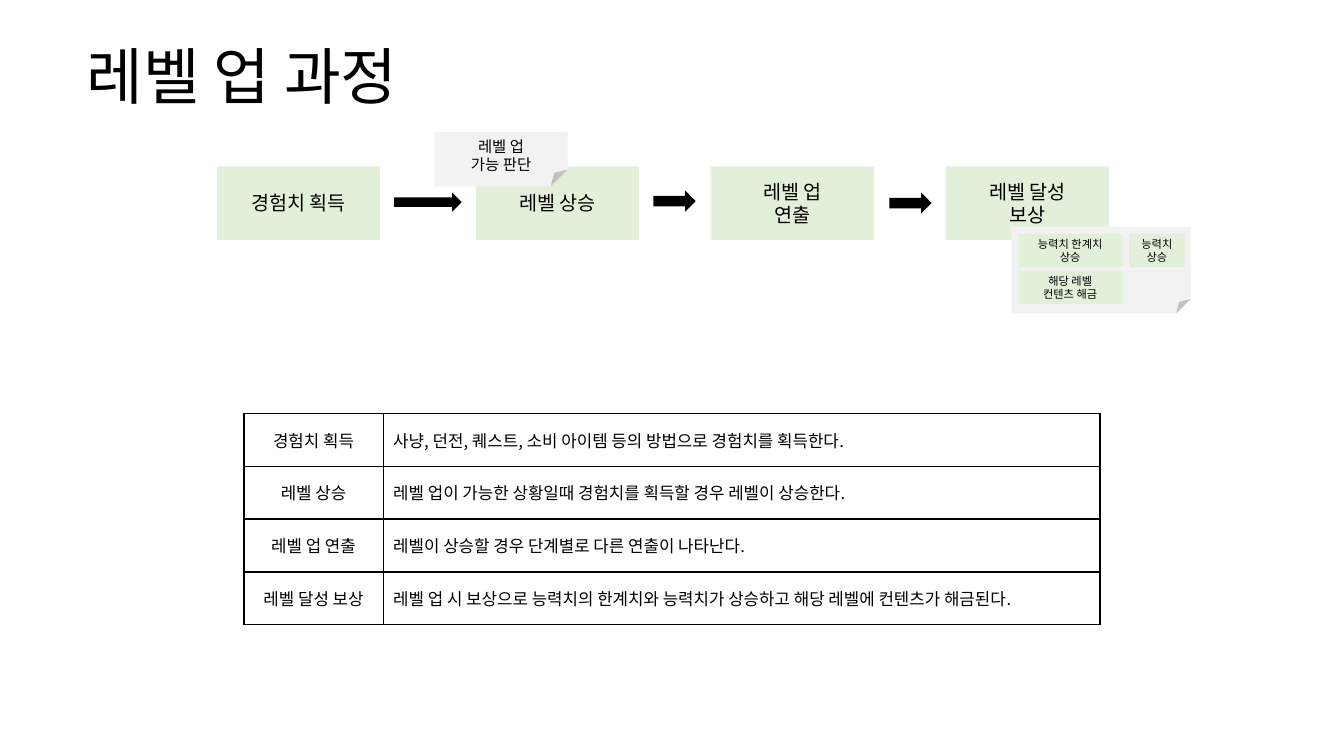
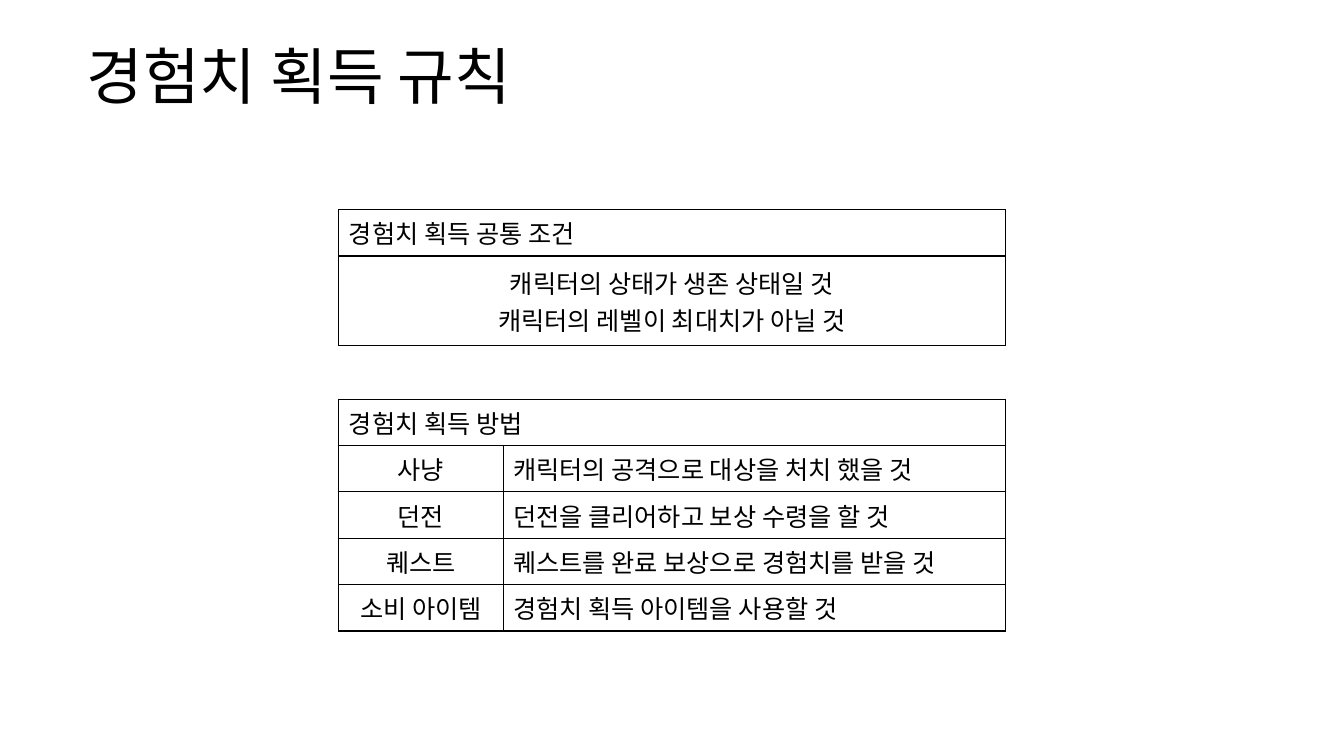
from dataclasses import dataclass
from typing import Optional

from lxml.etree import SubElement
from pptx import Presentation
from pptx.dml.color import RGBColor
from pptx.enum.shapes import MSO_SHAPE as Preset
from pptx.enum.text import MSO_ANCHOR as Anchor, PP_ALIGN as Align
from pptx.oxml import parse_xml
from pptx.oxml.ns import nsdecls, qn
from pptx.slide import Slide
from pptx.util import Inches, Pt


@dataclass(frozen=True)
class Theme:
    ink: str = "000000"
    step: str = "E2F0D9"
    note: str = "F2F2F2"
    korean: str = "Noto Sans CJK KR"
    latin: str = "Arial"
    title_size: int = 44
    rules_size: int = 18
    step_size: int = 14
    summary_size: int = 12
    note_size: int = 11
    reward_size: int = 8
    border: int = 1


THEME = Theme()


@dataclass(frozen=True)
class Block:
    left: float
    top: float
    width: float
    height: float
    fill: str
    preset: Preset = Preset.RECTANGLE
    text: str = ""
    size: int = THEME.step_size
    font: str = THEME.latin
    anchor: Anchor = Anchor.MIDDLE
    fold: Optional[float] = None


@dataclass(frozen=True)
class Grid:
    """A bordered table; a row with one text spans all columns."""
    left: float
    top: float
    columns: tuple[float, ...]
    heights: tuple[float, ...]
    rows: tuple[tuple[str, ...], ...]
    size: int
    centred: frozenset[tuple[int, int]]


def write(frame, text: str, size: int, font: str, align: Align,
          line_spacing: Optional[float] = None) -> None:
    frame.word_wrap = True
    for index, line in enumerate(text.split("\n")):
        paragraph = frame.paragraphs[0] if index == 0 else frame.add_paragraph()
        for name, value in {"alignment": align, "line_spacing": line_spacing}.items():
            setattr(paragraph, name, value)
        run = paragraph.add_run()
        run.text = line
        for name, value in {"size": Pt(size), "name": font}.items():
            setattr(run.font, name, value)
        run.font.color.rgb = RGBColor.from_string(THEME.ink)
        east_asian = SubElement(run._r.get_or_add_rPr(), qn("a:ea"))
        east_asian.set("typeface", THEME.korean)


def add_title(slide: Slide, text: str) -> None:
    box = slide.shapes.add_textbox(Inches(0.76), Inches(0.32), Inches(11.81), Inches(0.94))
    box.text_frame.vertical_anchor = Anchor.MIDDLE
    write(box.text_frame, text, THEME.title_size, THEME.korean, Align.LEFT, 0.9)


def set_fold(shape, fold: float) -> None:
    """Size the folded corner, which python-pptx lists no adjustment for."""
    adjustments = shape._element.spPr.find(qn("a:prstGeom")).get_or_add_avLst()
    guide = SubElement(adjustments, qn("a:gd"))
    for name, value in {"name": "adj", "fmla": f"val {round(fold * 100000)}"}.items():
        guide.set(name, value)


def add_block(slide: Slide, block: Block) -> None:
    shape = slide.shapes.add_shape(
        block.preset, Inches(block.left), Inches(block.top),
        Inches(block.width), Inches(block.height))
    shape.shadow.inherit = False
    shape.fill.solid()
    shape.fill.fore_color.rgb = RGBColor.from_string(block.fill)
    shape.line.fill.background()
    if block.fold is not None:
        set_fold(shape, block.fold)
    if block.text:
        shape.text_frame.vertical_anchor = block.anchor
        write(shape.text_frame, block.text, block.size, block.font, Align.CENTER)


def add_borders(cell) -> None:
    properties = cell._tc.get_or_add_tcPr()
    for index, side in enumerate(("lnL", "lnR", "lnT", "lnB")):
        properties.insert(index, parse_xml(
            f'<a:{side} {nsdecls("a")} w="{Pt(THEME.border)}"><a:solidFill>'
            f'<a:srgbClr val="{THEME.ink}"/></a:solidFill></a:{side}>'))


def add_grid(slide: Slide, grid: Grid) -> None:
    table = slide.shapes.add_table(
        len(grid.rows), len(grid.columns), Inches(grid.left), Inches(grid.top),
        Inches(sum(grid.columns)), Inches(sum(grid.heights))).table
    for flag in ("first_row", "horz_banding"):
        setattr(table, flag, False)
    for column, width in zip(table.columns, grid.columns):
        column.width = Inches(width)
    for r, (texts, height) in enumerate(zip(grid.rows, grid.heights)):
        table.rows[r].height = Inches(height)
        if len(texts) < len(grid.columns):
            table.cell(r, 0).merge(table.cell(r, len(grid.columns) - 1))
        for c in range(len(grid.columns)):
            cell = table.cell(r, c)
            cell.fill.background()
            add_borders(cell)
            if c < len(texts):
                cell.vertical_anchor = Anchor.MIDDLE
                align = Align.CENTER if (r, c) in grid.centred else Align.LEFT
                write(cell.text_frame, texts[c], grid.size, THEME.korean, align)


def build_process(slide: Slide) -> None:
    add_title(slide, "레벨 업 과정")
    steps = ((2.15, "경험치 획득"), (4.72, "레벨 상승"),
             (7.05, "레벨 업\n연출"), (9.38, "레벨 달성\n보상"))
    arrows = ((3.91, 1.91, 0.67, 0.19), (6.48, 1.89, 0.42, 0.21), (8.82, 1.91, 0.42, 0.21))
    rewards = ((10.1, 2.32, 1.03, "능력치 한계치\n상승"), (11.2, 2.32, 0.55, "능력치\n상승"),
               (10.1, 2.69, 1.03, "해당 레벨\n컨텐츠 해금"))
    blocks = [
        *(Block(left, 1.65, 1.62, 0.73, THEME.step, text=text) for left, text in steps),
        *(Block(*place, THEME.ink, Preset.RIGHT_ARROW) for place in arrows),
        Block(4.31, 1.31, 1.32, 0.54, THEME.note, Preset.FOLDED_CORNER, "레벨 업\n가능 판단",
              THEME.note_size, THEME.korean, Anchor.TOP, fold=0.31),
        Block(10.03, 2.25, 1.78, 0.86, THEME.note, Preset.FOLDED_CORNER),
        *(Block(left, top, width, 0.33, THEME.step, text=text, size=THEME.reward_size)
          for left, top, width, text in rewards),
    ]
    for block in blocks:
        add_block(slide, block)
    summary = (
        ("경험치 획득", "사냥, 던전, 퀘스트, 소비 아이템 등의 방법으로 경험치를 획득한다."),
        ("레벨 상승", "레벨 업이 가능한 상황일때 경험치를 획득할 경우 레벨이 상승한다."),
        ("레벨 업 연출", "레벨이 상승할 경우 단계별로 다른 연출이 나타난다."),
        ("레벨 달성 보상",
         "레벨 업 시 보상으로 능력치의 한계치와 능력치가 상승하고 해당 레벨에 컨텐츠가 해금된다."),
    )
    add_grid(slide, Grid(2.42, 4.1, (1.38, 7.11), (2.1 / 4,) * 4, summary,
                         THEME.summary_size, frozenset((r, 0) for r in range(4))))


def build_rules(slide: Slide) -> None:
    add_title(slide, "경험치 획득 규칙")
    left, row_height = 3.36, 0.46
    methods = (
        ("경험치 획득 방법",),
        ("사냥", "캐릭터의 공격으로 대상을 처치 했을 것"),
        ("던전", "던전을 클리어하고 보상 수령을 할 것"),
        ("퀘스트", "퀘스트를 완료 보상으로 경험치를 받을 것"),
        ("소비 아이템", "경험치 획득 아이템을 사용할 것"),
    )
    conditions = (("경험치 획득 공통 조건",),
                  ("캐릭터의 상태가 생존 상태일 것\n캐릭터의 레벨이 최대치가 아닐 것",))
    add_grid(slide, Grid(left, 3.96, (1.63, 4.98), (row_height,) * 5, methods,
                         THEME.rules_size, frozenset((r, 0) for r in range(1, 5))))
    add_grid(slide, Grid(left, 2.08, (6.61,), (row_height, 0.89), conditions,
                         THEME.rules_size, frozenset({(1, 0)})))


def main() -> None:
    deck = Presentation()
    deck.slide_width, deck.slide_height = Inches(13.33), Inches(7.5)
    blank = deck.slide_layouts[6]
    for build in (build_process, build_rules):
        build(deck.slides.add_slide(blank))
    deck.save("out.pptx")


if __name__ == "__main__":
    main()
